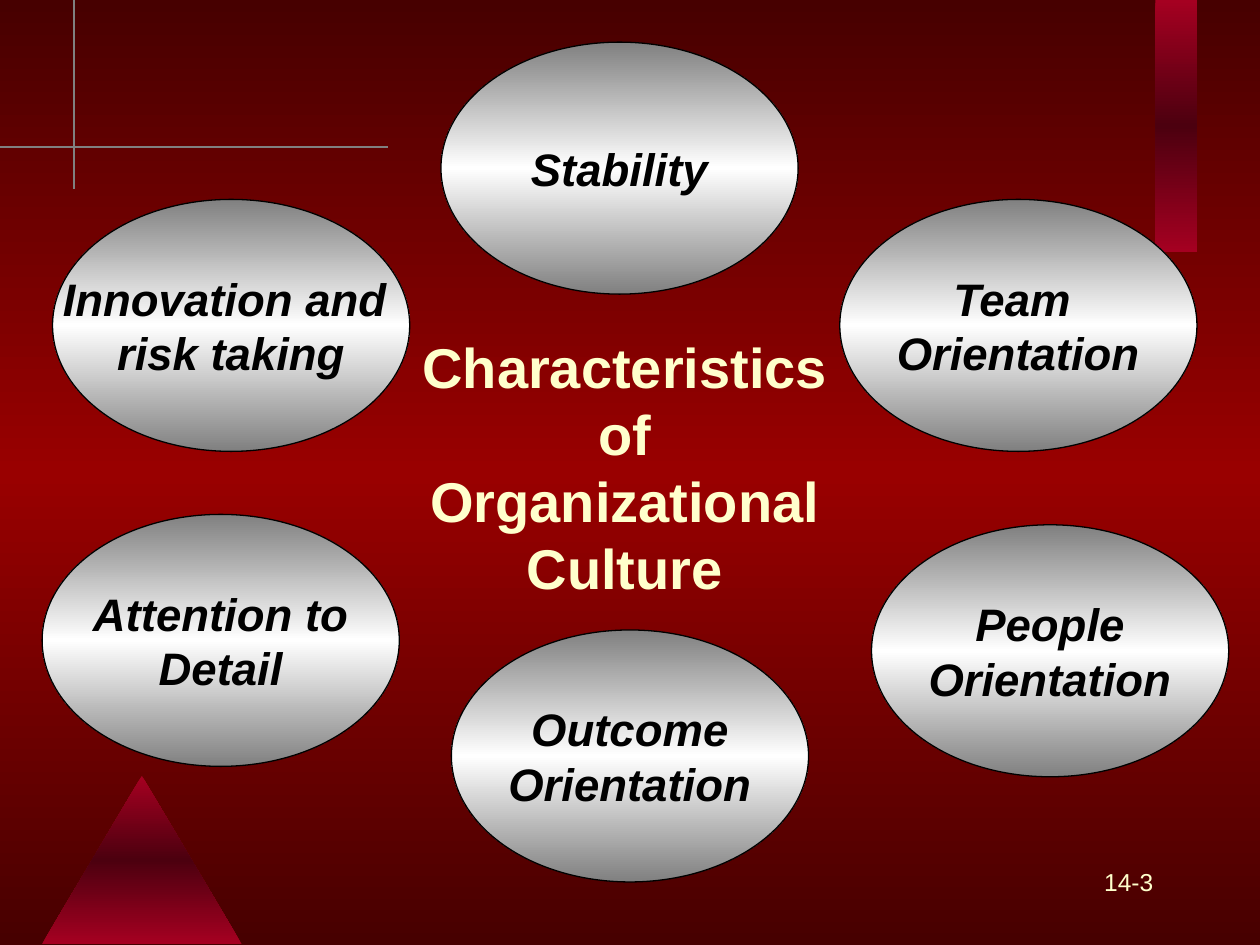
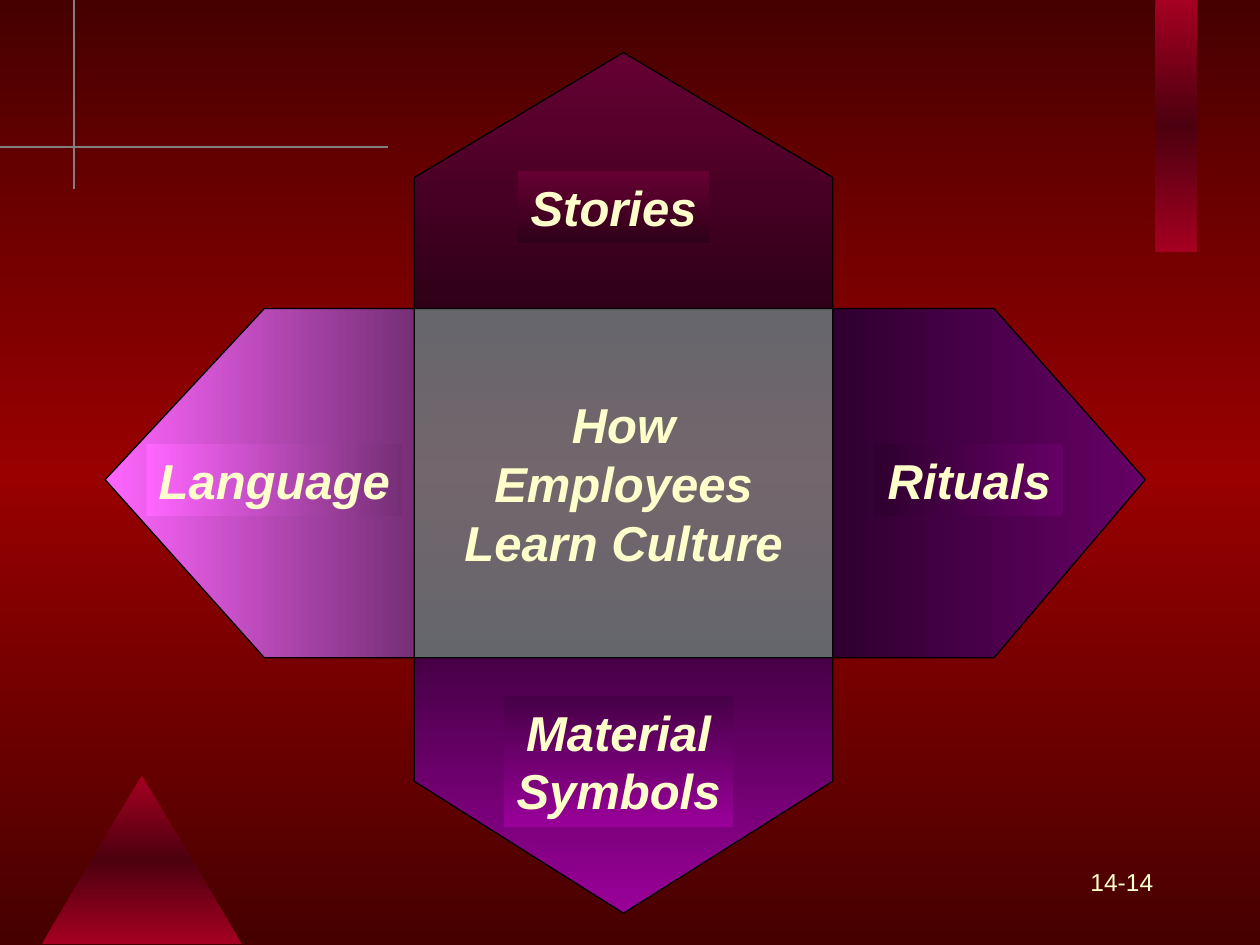
from copy import deepcopy
from dataclasses import dataclass

from lxml import etree
from pptx import Presentation
from pptx.dml.color import RGBColor
from pptx.enum.shapes import MSO_CONNECTOR, MSO_SHAPE
from pptx.enum.text import MSO_ANCHOR, MSO_AUTO_SIZE, PP_ALIGN
from pptx.oxml.ns import qn
from pptx.util import Cm, Pt

ELLIPSE = MSO_SHAPE.OVAL
RECTANGLE = MSO_SHAPE.RECTANGLE
TRIANGLE = MSO_SHAPE.FLOWCHART_EXTRACT
STRAIGHT = MSO_CONNECTOR.STRAIGHT
CENTER, RIGHT = PP_ALIGN.CENTER, PP_ALIGN.RIGHT
TOP, MIDDLE = MSO_ANCHOR.TOP, MSO_ANCHOR.MIDDLE
GROW = MSO_AUTO_SIZE.SHAPE_TO_FIT_TEXT
ACROSS, DOWN = 0, 270  # gradient directions, counter-clockwise degrees


@dataclass(frozen=True)
class Theme:
    font: str = "Arial"
    cream: str = "FFFFCC"
    black: str = "000000"
    rule: str = "808080"
    center: str = "4FCCD9"
    background: tuple = ("470000", "990000", "470000")
    ornament: tuple = ("A50021", "4C000F", "A50021")
    silver: tuple = ("808080", "FFFFFF", "808080")
    pink: tuple = ("FF66FF", "762F76")
    violet: tuple = ("470047", "990099")
    purple: tuple = ("2F002F", "660066")
    wine: tuple = ("660033", "2F0018")
    title_size: int = 32
    culture_size: int = 28
    ellipse_size: int = 26
    number_size: int = 14
    outline: float = 0.75


THEME = Theme()

CHARACTERISTICS = [
    ("Innovation and \vrisk taking", 1.06, 4.02),
    ("Stability", 8.89, 0.85),
    ("Attention to\vDetail", 0.85, 10.37),
    ("Outcome\vOrientation", 9.1, 12.7),
    ("Team \vOrientation", 16.93, 4.02),
    ("People\vOrientation", 17.57, 10.58),
]

# Sides of the central square, and the middle lines that the arrow tips lie on
SQUARE_LEFT, SQUARE_TOP, SQUARE_RIGHT, SQUARE_BOTTOM = 8.35, 6.22, 16.79, 13.26
TIP_X, TIP_Y = 12.57, 9.67


def cm_box(box):
    return [Cm(length) for length in box]


def fill_gradient(fill, element, colors, angle):
    """Fill with evenly spaced colours; element is the XML that holds the fill."""
    fill.gradient()
    fill.gradient_angle = angle
    stop_list = element.find(".//" + qn("a:gsLst"))
    while len(stop_list) < len(colors):
        stop_list.append(deepcopy(stop_list[0]))
    for index, stop in enumerate(fill.gradient_stops):
        stop.position = index / (len(colors) - 1)
        stop.color.rgb = RGBColor.from_string(colors[index])


def set_outline(shape, outlined):
    if outlined:
        shape.line.color.rgb = RGBColor.from_string(THEME.black)
        shape.line.width = Pt(THEME.outline)
    else:
        shape.line.fill.background()


def add_gradient_shape(shapes, kind, box, colors, angle=DOWN, outlined=False):
    shape = shapes.add_shape(kind, *cm_box(box))
    shape.shadow.inherit = False
    fill_gradient(shape.fill, shape.element, colors, angle)
    set_outline(shape, outlined)
    return shape


def write_text(shape, text, size, color=THEME.cream, bold=True, italic=True,
               align=CENTER, anchor=MIDDLE, wrap=False):
    text_frame = shape.text_frame
    text_frame.text = text
    text_frame.word_wrap = wrap
    text_frame.vertical_anchor = anchor
    for paragraph in text_frame.paragraphs:
        paragraph.alignment = align
        for run in paragraph.runs:
            run.font.name = THEME.font
            run.font.size = Pt(size)
            run.font.bold = bold
            run.font.italic = italic
            run.font.color.rgb = RGBColor.from_string(color)


def add_text_box(slide, box, text, size, **text_style):
    shape = slide.shapes.add_textbox(*cm_box(box))
    write_text(shape, text, size, italic=False, anchor=TOP, wrap=True, **text_style)
    return shape


def add_rule(slide, ends):
    rule = slide.shapes.add_connector(STRAIGHT, *cm_box(ends))
    rule.line.color.rgb = RGBColor.from_string(THEME.rule)
    rule.line.width = Pt(1)
    etree.SubElement(rule.element.find(qn("p:spPr")), qn("a:effectLst"))


def add_decorated_slide(presentation, number):
    """Add a slide with the ornaments, the crossing rules and the page number."""
    slide = presentation.slides.add_slide(presentation.slide_layouts[6])
    add_gradient_shape(slide.shapes, TRIANGLE, (0.85, 15.64, 4.02, 3.39), THEME.ornament)
    add_gradient_shape(slide.shapes, RECTANGLE, (23.29, 0, 0.84, 5.08), THEME.ornament)
    add_rule(slide, (0, 2.97, 7.83, 2.97))
    add_rule(slide, (1.49, 0, 1.49, 3.81))
    add_text_box(slide, (18.21, 17.35, 5.29, 1.27), number, THEME.number_size,
                 bold=False, align=RIGHT)
    return slide


def add_arrow(slide, outline, label, label_box, colors, angle):
    """Add a pointed block and its label plate as one group."""
    shapes = slide.shapes.add_group_shape().shapes
    points = [cm_box(point) for point in outline]
    builder = shapes.build_freeform(*points[0])
    builder.add_line_segments(points[1:], close=True)
    arrow = builder.convert_to_shape()
    arrow.shadow.inherit = False
    fill_gradient(arrow.fill, arrow.element, colors, angle)
    set_outline(arrow, True)
    plate = add_gradient_shape(shapes, RECTANGLE, label_box, colors, angle)
    write_text(plate, label, THEME.culture_size, anchor=TOP)


def side_arrow(tip, shoulder, base):
    return [(tip, TIP_Y), (shoulder, SQUARE_TOP), (base, SQUARE_TOP),
            (base, SQUARE_BOTTOM), (shoulder, SQUARE_BOTTOM)]


def upright_arrow(tip, shoulder, base):
    return [(TIP_X, tip), (SQUARE_RIGHT, shoulder), (SQUARE_RIGHT, base),
            (SQUARE_LEFT, base), (SQUARE_LEFT, shoulder)]


def add_center_square(slide, text):
    square = slide.shapes.add_shape(RECTANGLE, *cm_box((
        SQUARE_LEFT, SQUARE_TOP, SQUARE_RIGHT - SQUARE_LEFT, SQUARE_BOTTOM - SQUARE_TOP)))
    square.shadow.inherit = False
    square.fill.solid()
    square.fill.fore_color.rgb = RGBColor.from_string(THEME.center)
    color = square.element.find(".//" + qn("a:srgbClr"))
    etree.SubElement(color, qn("a:alpha"), val="50000")
    set_outline(square, True)
    write_text(square, text, THEME.culture_size)


def build_characteristics(presentation):
    slide = add_decorated_slide(presentation, "14-3")
    for text, left, top in CHARACTERISTICS:
        ellipse = add_gradient_shape(slide.shapes, ELLIPSE, (left, top, 7.2, 5.08),
                                     THEME.silver, outlined=True)
        write_text(ellipse, text, THEME.ellipse_size, color=THEME.black)
    title = add_text_box(slide, (8.26, 6.57, 8.68, 5.69),
                         "Characteristics of Organizational Culture", THEME.title_size)
    title.text_frame.auto_size = GROW


def build_learning_culture(presentation):
    slide = add_decorated_slide(presentation, "14-14")
    add_center_square(slide, "How\nEmployees\nLearn Culture")
    add_arrow(slide, side_arrow(2.12, 5.33, SQUARE_LEFT), "Language",
              (2.95, 8.95, 5.16, 1.45), THEME.pink, ACROSS)
    add_arrow(slide, upright_arrow(18.41, 15.75, SQUARE_BOTTOM), "Material\nSymbols",
              (10.16, 14.03, 4.62, 2.64), THEME.violet, DOWN)
    add_arrow(slide, side_arrow(23.09, 20.04, SQUARE_RIGHT), "Rituals",
              (17.64, 8.95, 3.8, 1.45), THEME.purple, ACROSS)
    add_arrow(slide, upright_arrow(1.06, 3.58, SQUARE_TOP), "Stories",
              (10.44, 3.45, 3.86, 1.45), THEME.wine, DOWN)


def main():
    presentation = Presentation()
    presentation.slide_width = Cm(25.4)
    presentation.slide_height = Cm(19.05)
    master = presentation.slide_master
    fill_gradient(master.background.fill, master.element, THEME.background, DOWN)
    build_characteristics(presentation)
    build_learning_culture(presentation)
    presentation.save("out.pptx")


if __name__ == "__main__":
    main()
